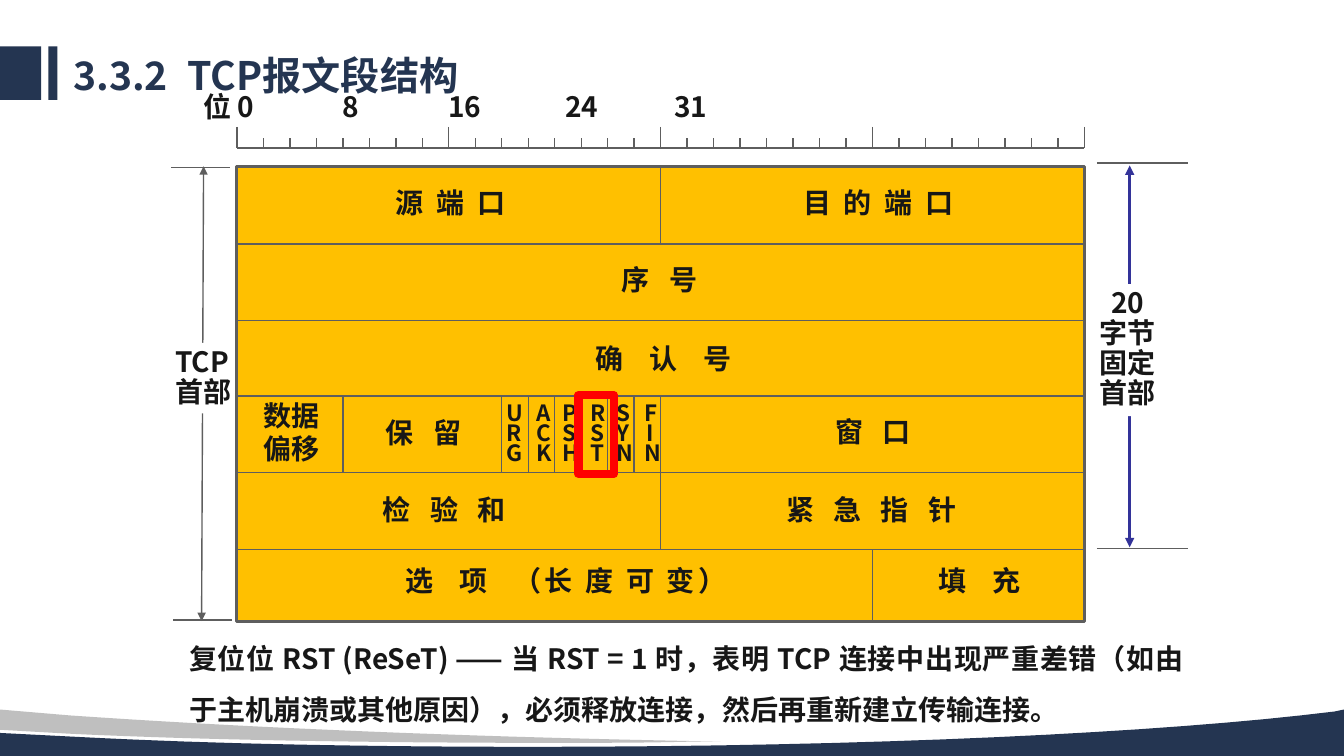
from lxml.etree import SubElement
from pptx import Presentation
from pptx.dml.color import RGBColor
from pptx.enum.shapes import MSO_CONNECTOR, MSO_SHAPE
from pptx.enum.text import MSO_ANCHOR, PP_ALIGN
from pptx.oxml.ns import qn
from pptx.util import Cm, Pt

COLORS = {
    "navy": "243551", "silver": "BFBFBF", "white": "FFFFFF", "amber": "FFC000",
    "gray": "5E5E5E", "blue": "333399", "ink": "171717", "red": "FF0000",
}
FONT = "Noto Sans CJK JP"


def add_line(x1, y1, x2, y2, color="gray", width=1, arrows=False):
    line = slide.shapes.add_connector(MSO_CONNECTOR.STRAIGHT, Cm(x1), Cm(y1), Cm(x2), Cm(y2))
    line.line.color.rgb = RGBColor.from_string(COLORS[color])
    line.line.width = Pt(width)
    if arrows:
        for end in ("a:headEnd", "a:tailEnd"):
            SubElement(line.line._get_or_add_ln(), qn(end), type="triangle")
    SubElement(line._element.spPr, qn("a:effectLst"))


def add_text(text, left, top, width, height, size=20, font=FONT, color="ink", fill=None,
             align=PP_ALIGN.LEFT, line_spacing=1.0, letter_spacing=0, wrap=False, tabs=()):
    box = slide.shapes.add_textbox(Cm(left), Cm(top), Cm(width), Cm(height))
    if fill:
        box.fill.solid()
        box.fill.fore_color.rgb = RGBColor.from_string(COLORS[fill])
    box.text_frame.word_wrap = wrap
    box.text_frame.text = text
    for paragraph in box.text_frame.paragraphs:
        if tabs:
            tab_list = SubElement(paragraph._p.get_or_add_pPr(), qn("a:tabLst"))
            for position in tabs:
                SubElement(tab_list, qn("a:tab"), pos=str(Cm(position)), algn="l")
        paragraph.alignment = align
        paragraph.line_spacing = line_spacing
        for run in paragraph.runs:
            run.font.size = Pt(size)
            run.font.bold = True
            run.font.color.rgb = RGBColor.from_string(COLORS[color])
            run.font.name = font
            properties = run._r.get_or_add_rPr()
            SubElement(properties, qn("a:ea"), typeface=font)
            if letter_spacing:
                properties.set("spc", str(round(letter_spacing * 100)))
    return box


presentation = Presentation()
presentation.slide_width, presentation.slide_height = Cm(33.87), Cm(19.05)
slide = presentation.slides.add_slide(presentation.slide_layouts[6])

# Title marks
for left, width in ((-1.35, 2.39), (1.22, 0.23)):
    mark = slide.shapes.add_shape(MSO_SHAPE.RECTANGLE, Cm(left), Cm(1.17), Cm(width), Cm(1.35))
    mark.shadow.inherit = False
    mark.fill.solid()
    mark.fill.fore_color.rgb = RGBColor.from_string(COLORS["navy"])
    mark.line.fill.background()

# Footer waves: two-number steps are lines, six-number steps are Bezier curves
waves = (
    ("navy", ((33.87, 17.88), (33.87, 19.05), (0, 19.05), (0, 18.47), (1.96, 18.57),
              (5.38, 18.75, 9.32, 18.82, 13.51, 18.82),
              (21.9, 18.82, 29.29, 18.47, 33.63, 17.93))),
    ("silver", ((0, 17.88), (1.78, 18.03), (5.82, 18.31, 10.59, 18.52, 15.8, 18.64),
                (18.16, 18.69), (17.37, 18.69), (16.26, 18.72, 15.09, 18.72, 13.92, 18.72),
                (9.17, 18.72, 4.88, 18.64, 1.75, 18.49), (0, 18.39))),
)
for color, steps in waves:
    points = [steps[0]]
    for step in steps[1:]:
        if len(step) == 2:
            points.append(step)
            continue
        corners = (points[-1], step[:2], step[2:4], step[4:])
        for part in range(1, 17):
            t = part / 16
            weights = ((1 - t) ** 3, 3 * t * (1 - t) ** 2, 3 * t * t * (1 - t), t ** 3)
            points.append(tuple(sum(w * corner[axis] for w, corner in zip(weights, corners))
                                for axis in (0, 1)))
    points = [(Cm(x), Cm(y)) for x, y in points]
    builder = slide.shapes.build_freeform(*points[0], scale=1.0)
    builder.add_line_segments(points[1:], close=True)
    wave = builder.convert_to_shape()
    wave.shadow.inherit = False
    wave.fill.solid()
    wave.fill.fore_color.rgb = RGBColor.from_string(COLORS[color])
    wave.line.fill.background()

# Title
title = add_text("3.3.2\tTCP报文段结构", 1.6, 1.3, 25.35, 1.32, size=28, font="Noto Sans CJK SC",
                 color="navy", line_spacing=0.9, wrap=True, tabs=(2.88,))
title.text_frame.vertical_anchor = MSO_ANCHOR.MIDDLE

# Header extents on both sides
add_line(5.13, 4.19, 5.08, 15.65, arrows=True)
add_text("TCP\n首部", 4.17, 8.64, 1.93, 1.78, fill="white", line_spacing=0.9)
add_line(28.47, 4.17, 28.47, 13.79, color="blue", width=2.25, arrows=True)
add_text("20\n字节\n固定\n首部", 27.46, 7.16, 1.93, 3.33, fill="white",
         align=PP_ALIGN.CENTER, line_spacing=0.9)
for x1, x2, y in ((27.64, 29.95, 4.11), (27.64, 29.95, 13.82),
                  (4.32, 5.79, 4.22), (4.37, 5.84, 15.62)):
    add_line(x1, y, x2, y)

# Header block and its grid
LEFT, WIDTH = 5.97, 21.36
BIT = WIDTH / 32
rows = (4.19, 6.15, 8.08, 9.98, 11.91, 13.84, 15.67)
block = slide.shapes.add_shape(MSO_SHAPE.RECTANGLE, Cm(LEFT), Cm(rows[0]),
                               Cm(WIDTH), Cm(rows[-1] - rows[0]))
block.shadow.inherit = False
block.fill.solid()
block.fill.fore_color.rgb = RGBColor.from_string(COLORS["amber"])
block.line.color.rgb = RGBColor.from_string(COLORS["gray"])
block.line.width = Pt(2)
for y in rows[1:-1]:
    add_line(LEFT, y, LEFT + WIDTH, y)
dividers = [(16, 0, 1), (16, 3, 5), (24, 5, 6)] + [(bit, 3, 4) for bit in (4, *range(10, 16))]
for bit, first, last in dividers:
    x = LEFT + bit * BIT
    add_line(x, rows[first], x, rows[last])

# Field names: text, left, top, width, letter spacing
fields = (
    ("源 端 口", 9.73, 4.55, 4.06, 2.33), ("目 的 端 口", 19.99, 4.55, 5.49, 2.33),
    ("序 号", 15.42, 6.48, 3.84, 4.66), ("确 认 号", 14.76, 8.48, 7.67, 7),
    ("保 留", 9.47, 10.34, 3, 4.66), ("窗 口", 20.8, 10.31, 3, 4.66),
    ("检 验 和", 9.4, 12.29, 4.78, 4.66), ("紧 急 指 针", 19.56, 12.29, 6.55, 4.66),
    ("填 充", 23.39, 14.07, 3.48, 7),
)
for text, left, top, width, letter_spacing in fields:
    add_text(text, left, top, width, 1.09, letter_spacing=letter_spacing)
add_text("数据\n偏移", 6.4, 9.91, 1.93, 1.96)
add_text("选\t项\t（长 度 可 变）", 9.96, 14.07, 11.56, 1.09,
         letter_spacing=2.33, wrap=True, tabs=(1.36, 2.72))

# Flag names, one letter per line
flags = (("URG", 12.52), ("ACK", 13.26), ("PSH", 13.92), ("RST", 14.63), ("SYN", 15.29),
         ("FIN", 16))
for flag, left in flags:
    add_text("\n".join(flag), left, 10.08, 0.79, 1.78, size=16, line_spacing=0.75,
             align=PP_ALIGN.CENTER if flag == "FIN" else PP_ALIGN.LEFT)

# Bit ruler
RULER = 3.73
add_line(LEFT, RULER, LEFT + WIDTH, RULER)
for bit in range(33):
    x = LEFT + bit * BIT
    add_line(x, 3.2 if bit % 8 == 0 else 3.48, x, RULER)
add_text("位 0\t8\t16\t24\t31", 4.88, 2.13, 22.94, 1.09, wrap=True,
         tabs=(3.5, 6.17, 9.12, 11.86))

# Explanation
add_text("复位位 RST (ReSeT) —— 当 RST = 1 时，表明 TCP 连接中出现严重差错（如由于主机崩溃或其他原因），"
         "必须释放连接，然后再重新建立传输连接。", 4.52, 15.62, 25.55, 2.82,
         align=PP_ALIGN.JUSTIFY, line_spacing=1.5, wrap=True)

# Highlight around RST
highlight = slide.shapes.add_shape(MSO_SHAPE.RECTANGLE, Cm(14.58), Cm(9.96), Cm(0.89), Cm(1.98))
highlight.shadow.inherit = False
highlight.fill.background()
highlight.line.color.rgb = RGBColor.from_string(COLORS["red"])
highlight.line.width = Pt(6)

presentation.save("out.pptx")
